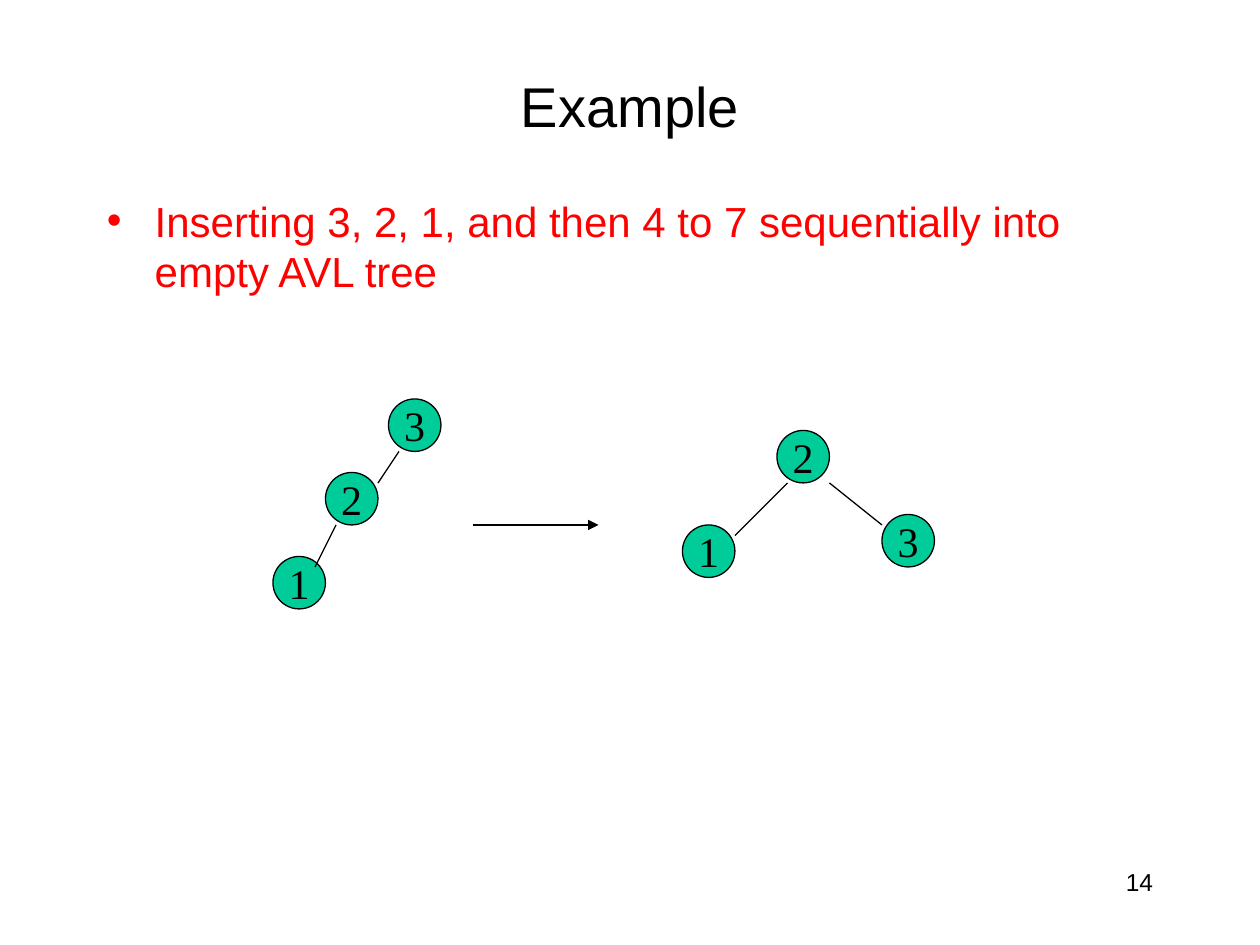
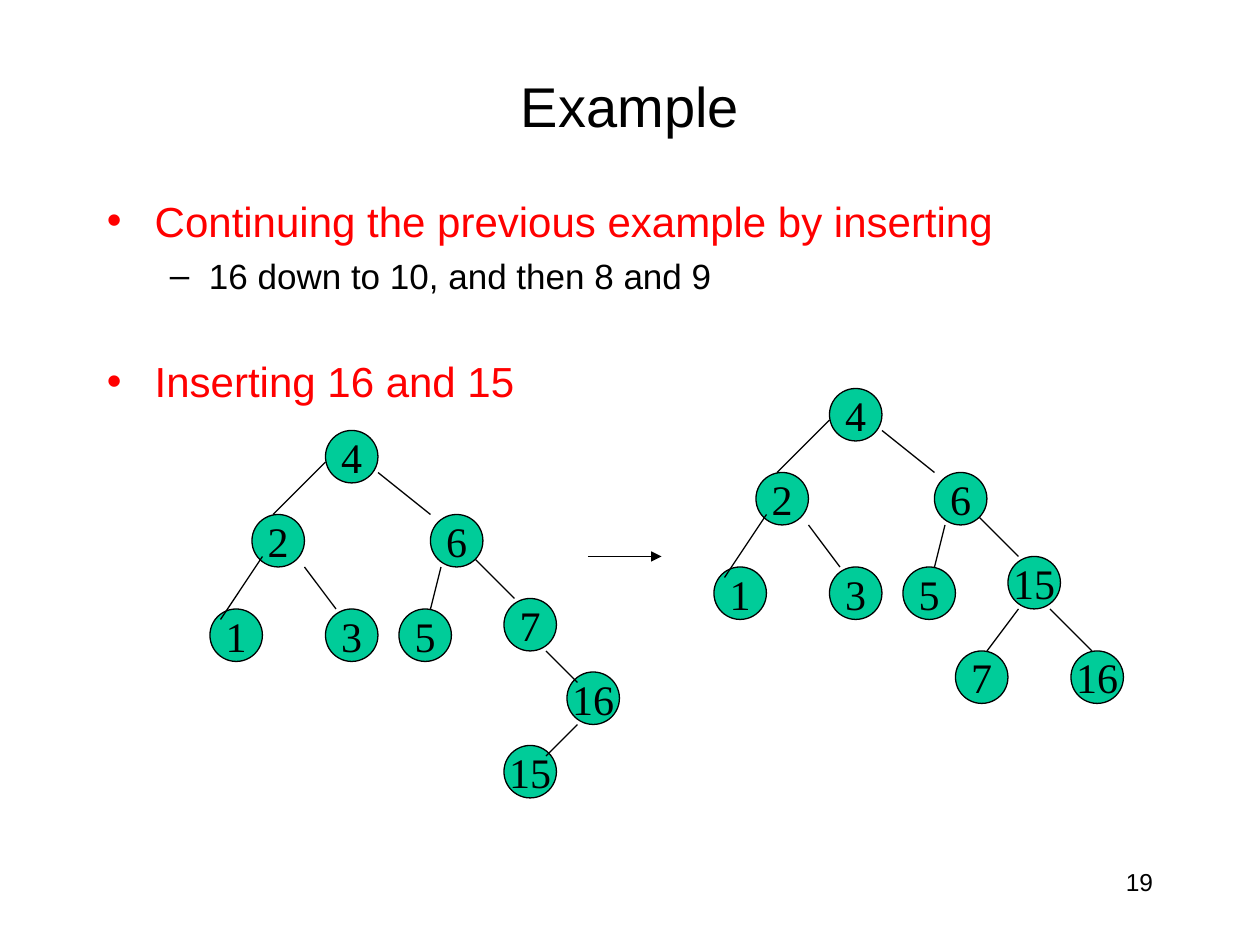
from dataclasses import dataclass

from lxml.etree import SubElement
from pptx import Presentation
from pptx.dml.color import RGBColor
from pptx.enum.shapes import MSO_CONNECTOR, MSO_SHAPE
from pptx.enum.text import MSO_ANCHOR, MSO_AUTO_SIZE, PP_ALIGN
from pptx.oxml.ns import qn
from pptx.util import Inches, Pt

BLACK = RGBColor(0x00, 0x00, 0x00)
RED = RGBColor(0xFF, 0x00, 0x00)
GREEN = RGBColor(0x00, 0xCC, 0x99)

SLIDE_WIDTH, SLIDE_HEIGHT = Inches(10), Inches(7.5)
COLUMNS, ROWS = 120, 90
NODE_SIZE = 5
TITLE_ONLY = 5


@dataclass
class Node:
    label: str
    column: float
    row: float


@dataclass
class Branch:
    start: tuple
    end: tuple


@dataclass
class Level:
    mark: str
    size: int
    color: RGBColor
    indent: float
    hanging: float
    space_before: int


POINT = Level("•", 24, RED, 0.38, 0.38, 6)
SUBPOINT = Level("–", 20, BLACK, 0.81, 0.31, 5)
POINT_AFTER_GAP = Level("•", 24, RED, 0.38, 0.38, 34)

# Tree parts are listed back to front, relative to the tree's origin.
UNBALANCED_TREE = [
    Node("3", 15, 0), Node("1", 4, 15), Node("2", 9, 7),
    Branch((16, 5), (14, 8)), Branch((10, 12), (8, 16)),
]
BALANCED_TREE = [
    Node("3", 10, 8), Node("2", 0, 0), Node("1", -9, 9),
    Branch((1, 5), (-4, 10)), Branch((5, 5), (10, 9)),
]
COMMON_TREE = [
    Node("3", 0, 17), Node("2", -7, 8), Node("1", -11, 17),
    Branch((0, 3), (-5, 8)), Branch((5, 4), (10, 8)),
    Node("4", 0, 0),
    Branch((14, 12), (18, 16)), Node("6", 10, 8),
    Branch((-6, 12), (-10, 18)), Branch((-2, 13), (1, 17)),
    Node("5", 7, 17), Branch((11, 13), (10, 17)),
]
BEFORE_ROTATION = COMMON_TREE + [
    Node("7", 17, 16), Node("16", 23, 23), Node("15", 17, 30),
    Branch((21, 21), (24, 24)), Branch((24, 28), (21, 31)),
]
AFTER_ROTATION = COMMON_TREE + [
    Node("15", 17, 16), Node("16", 23, 25), Node("7", 12, 25),
    Branch((21, 21), (25, 25)), Branch((18, 21), (15, 25)),
]


def across(columns):
    return round(SLIDE_WIDTH * columns / COLUMNS)


def down(rows):
    return round(SLIDE_HEIGHT * rows / ROWS)


def area(column, row, width, height):
    return across(column), down(row), across(width), down(height)


class TreeDeck:
    """Holds the shared style and the slide being drawn."""

    def __init__(self):
        self.deck = Presentation()
        self.deck.slide_width, self.deck.slide_height = SLIDE_WIDTH, SLIDE_HEIGHT
        self.page = None

    def add_page(self, title, number):
        self.page = self.deck.slides.add_slide(self.deck.slide_layouts[TITLE_ONLY])
        heading = self.page.shapes.title
        heading.left, heading.top, heading.width, heading.height = area(9, 5, 102, 10)
        frame = heading.text_frame
        frame.auto_size = MSO_AUTO_SIZE.NONE
        frame.vertical_anchor = MSO_ANCHOR.MIDDLE
        frame.paragraphs[0].alignment = PP_ALIGN.CENTER
        self.add_span(frame.paragraphs[0], title, 32)

        para = self.add_text_box(86, 82, 25, 6).paragraphs[0]
        para.alignment = PP_ALIGN.RIGHT
        self.add_span(para, number, 14)

    def add_span(self, para, text, size, color=BLACK, font="Arial"):
        span = para.add_run()
        span.text = text
        span.font.name = font
        span.font.size = Pt(size)
        span.font.color.rgb = color

    def add_text_box(self, *place):
        frame = self.page.shapes.add_textbox(*area(*place)).text_frame
        frame.word_wrap = True
        return frame

    def add_bullets(self, height, lines):
        frame = self.add_text_box(9, 18, 102, height)
        for index, (level, text) in enumerate(lines):
            para = frame.add_paragraph() if index else frame.paragraphs[0]
            para.space_before = Pt(level.space_before)
            para.level = int(level is SUBPOINT)
            self.add_span(para, text, level.size, level.color)
            self.mark_bullet(para, level)

    def mark_bullet(self, para, level):
        properties = para._p.get_or_add_pPr()
        properties.set("marL", str(Inches(level.indent)))
        properties.set("indent", str(-Inches(level.hanging)))
        bullet_color = SubElement(properties, qn("a:buClr"))
        SubElement(bullet_color, qn("a:srgbClr"), val=str(level.color))
        SubElement(properties, qn("a:buFont"), typeface="Arial")
        SubElement(properties, qn("a:buChar"), char=level.mark)

    def add_node(self, label, column, row):
        circle = self.page.shapes.add_shape(
            MSO_SHAPE.OVAL, *area(column, row, NODE_SIZE, NODE_SIZE))
        circle.shadow.inherit = False
        circle.fill.solid()
        circle.fill.fore_color.rgb = GREEN
        circle.line.color.rgb = BLACK
        circle.line.width = Pt(0.75)
        frame = circle.text_frame
        frame.word_wrap = False
        frame.vertical_anchor = MSO_ANCHOR.MIDDLE
        para = frame.paragraphs[0]
        para.alignment = PP_ALIGN.CENTER
        self.add_span(para, label, 24, font="Times New Roman")

    def add_line(self, start, end, arrow=False):
        line = self.page.shapes.add_connector(
            MSO_CONNECTOR.STRAIGHT,
            across(start[0]), down(start[1]), across(end[0]), down(end[1]))
        line.line.color.rgb = BLACK
        line.line.width = Pt(0.75)
        properties = line.element.spPr
        if arrow:
            SubElement(properties.find(qn("a:ln")), qn("a:tailEnd"), type="triangle")
        SubElement(properties, qn("a:effectLst"))

    def add_tree(self, column, row, parts):
        for part in parts:
            if isinstance(part, Node):
                self.add_node(part.label, column + part.column, row + part.row)
            else:
                self.add_line(*((column + x, row + y) for x, y in (part.start, part.end)))


def main():
    show = TreeDeck()

    show.add_page("Example", "14")
    show.add_bullets(13, [
        (POINT, "Inserting 3, 2, 1, and then 4 to 7 sequentially into empty AVL tree"),
    ])
    show.add_tree(22, 38, UNBALANCED_TREE)
    show.add_line((45, 50), (57, 50), arrow=True)
    show.add_tree(74, 41, BALANCED_TREE)

    show.add_page("Example", "19")
    show.add_bullets(62, [
        (POINT, "Continuing the previous example by inserting"),
        (SUBPOINT, "16 down to 10, and then 8 and 9"),
        (POINT_AFTER_GAP, "Inserting 16 and 15"),
    ])
    show.add_tree(31, 41, BEFORE_ROTATION)
    show.add_line((56, 53), (63, 53), arrow=True)
    show.add_tree(79, 37, AFTER_ROTATION)

    show.deck.save("out.pptx")


if __name__ == "__main__":
    main()
